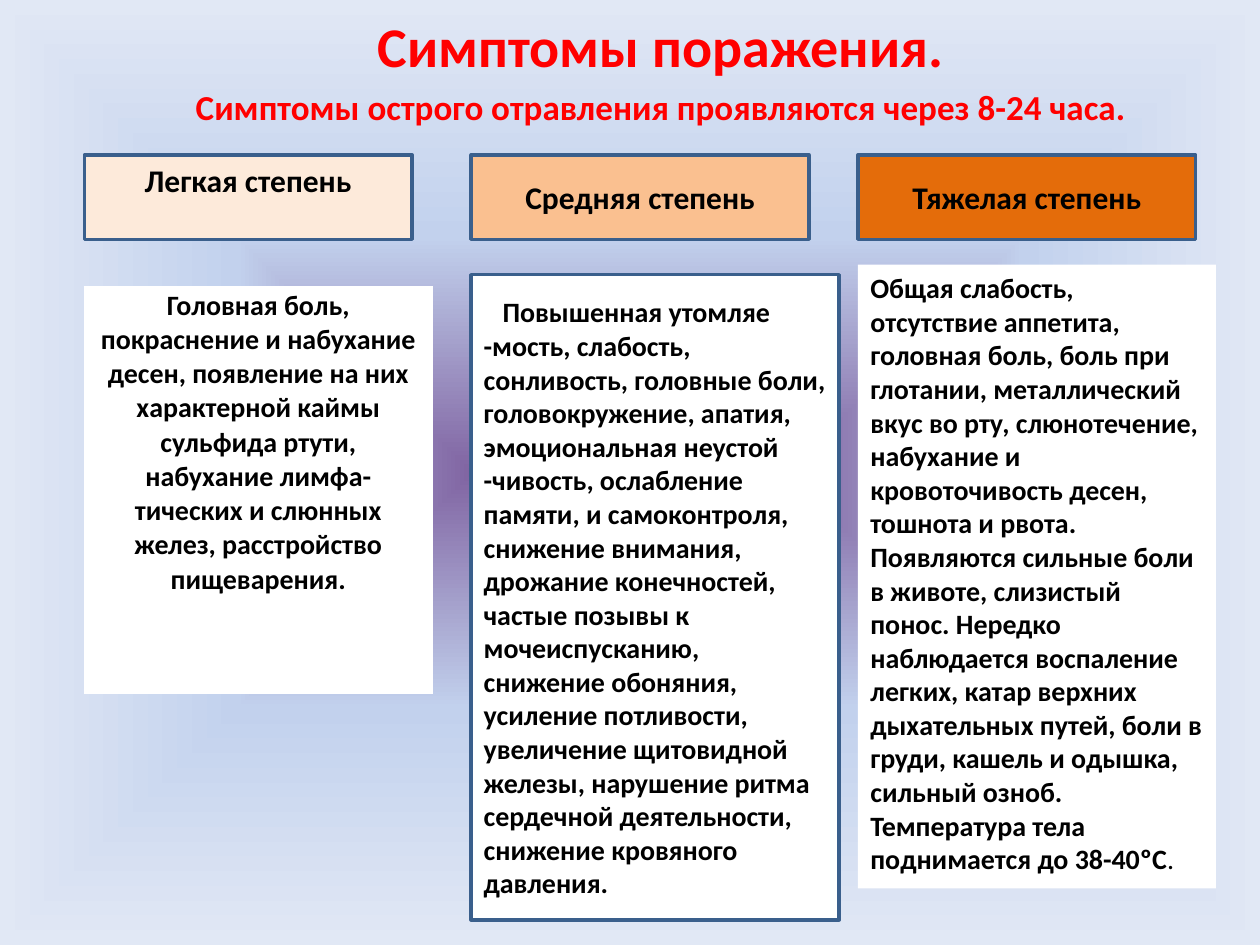
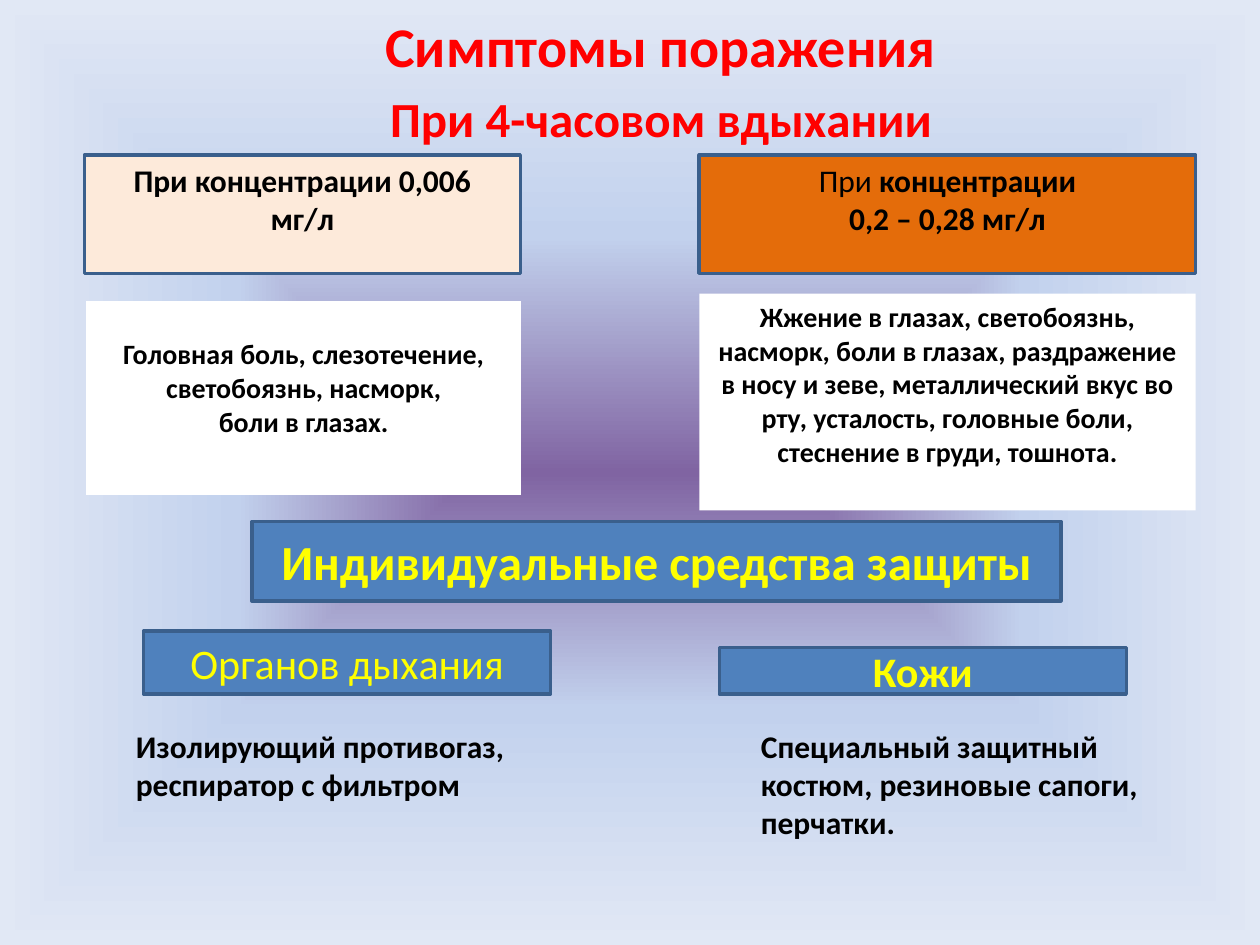
from lxml import etree
from pptx import Presentation
from pptx import util as u
from pptx.dml.color import RGBColor
from pptx.enum import shapes, text
from pptx.oxml import parse_xml
from pptx.oxml.ns import nsdecls, qn

# Shared style
FACE = "Calibri"
RED, BLACK, WHITE, YELLOW = "FF0000", "000000", "FFFFFF", "FFFF00"
PALE, PEACH, ORANGE = "FDEADA", "FAC090", "E46C0A"
BLUE, EDGE = "4F81BD", "3A5F8C"
GLOW = [(0, "8064A2"), (50, "C2D1ED"), (100, "E1E8F5")]
MID, TOP = text.MSO_ANCHOR.MIDDLE, text.MSO_ANCHOR.TOP
LEFT = 0.67
HEAD_TOP = 1.23


def tint(code):
    return RGBColor.from_string(code)


def write(frame, words, size=16, color=BLACK, bold=True, center=True,
          anchor=TOP, indent=0):
    """Newline starts a paragraph, \\v breaks a line, ~ switches bold."""
    frame.word_wrap = True
    frame.auto_size = text.MSO_AUTO_SIZE.NONE
    frame.vertical_anchor = anchor
    for i, line in enumerate(words.split("\n")):
        para = frame.add_paragraph() if i else frame.paragraphs[0]
        para.alignment = text.PP_ALIGN.CENTER if center else text.PP_ALIGN.LEFT
        para.space_before = u.Pt(0)
        props = para._p.get_or_add_pPr()
        props.set("marL", "0")
        props.set("indent", str(u.Inches(indent)))
        etree.SubElement(props, qn("a:buNone"))
        for j, piece in enumerate(line.split("~")):
            for k, part in enumerate(piece.split("\v")):
                if k:
                    para.add_line_break()
                if not part:
                    continue
                run = para.add_run()
                run.text = part
                font = run.font
                font.name, font.size = FACE, u.Pt(size)
                font.bold = bold if j % 2 == 0 else not bold
                font.color.rgb = tint(color)


class Deck:
    def __init__(self):
        self.prs = Presentation()
        self.prs.slide_width = u.Inches(10)
        self.prs.slide_height = u.Inches(7.5)
        self.slide = None
        self.glow()

    def glow(self):
        """Put the radiating background on the master."""
        fill = self.prs.slide_master.background.fill
        fill.gradient()
        stops = "".join(
            f'<a:gs pos="{pos * 1000}"><a:srgbClr val="{code}"/></a:gs>'
            for pos, code in GLOW)
        new = parse_xml(
            f'<a:gradFill {nsdecls("a")} rotWithShape="1">'
            f'<a:gsLst>{stops}</a:gsLst><a:path path="shape">'
            '<a:fillToRect l="50000" t="50000" r="50000" b="50000"/>'
            '</a:path></a:gradFill>')
        old = next(self.prs.slide_master.element.iter(qn("a:gradFill")))
        old.getparent().replace(old, new)

    def page(self, title, sub, size, top):
        self.slide = self.prs.slides.add_slide(self.prs.slide_layouts[1])
        head, body = self.slide.placeholders
        self.place(head, LEFT, 0.04, 9.15, 0.64)
        write(head.text_frame, title, size=32, color=RED)
        self.place(body, LEFT, top, 9.15, 0.5)
        body.text_frame.margin_top = body.text_frame.margin_bottom = 0
        write(body.text_frame, sub, size=size, color=RED)

    def place(self, item, *box):
        item.left, item.top, item.width, item.height = map(u.Inches, box)

    def box(self, words, at, fill=WHITE, line=EDGE, **form):
        rect = self.slide.shapes.add_shape(
            shapes.MSO_SHAPE.RECTANGLE, *map(u.Inches, at))
        rect.shadow.inherit = False
        rect.fill.solid()
        rect.fill.fore_color.rgb = tint(fill)
        if line:
            rect.line.color.rgb = tint(line)
            rect.line.width = u.Pt(2)
        else:
            rect.line.fill.background()
        write(rect.text_frame, words, **form)

    def note(self, words, at, **form):
        area = self.slide.shapes.add_textbox(*map(u.Inches, at))
        write(area.text_frame, words, center=False, **form)

    def table(self, words, at, pad=0):
        grid = self.slide.shapes.add_table(1, 1, *map(u.Inches, at)).table
        grid.first_row = grid.horz_banding = False
        cell = grid.cell(0, 0)
        cell.margin_left = cell.margin_right = u.Inches(0.07)
        cell.margin_top, cell.margin_bottom = u.Inches(pad), 0
        cell.fill.solid()
        cell.fill.fore_color.rgb = tint(WHITE)
        props = cell._tc.get_or_add_tcPr()
        for i, (side, wide) in enumerate(zip("LRTB", (1, 1, 3, 3))):
            props.insert(i, parse_xml(
                f'<a:ln{side} {nsdecls("a")} w="{u.Pt(wide)}"><a:solidFill>'
                f'<a:srgbClr val="{WHITE}"/></a:solidFill></a:ln{side}>'))
        write(cell.text_frame, words)


def degrees(deck):
    deck.page("Симптомы поражения.",
              "Симптомы острого отравления проявляются через 8-24 часа.",
              20, 0.68)
    # Degree headings
    for words, left, wide, fill, anchor in (
            ("Легкая степень", LEFT, 2.6, PALE, TOP),
            ("Средняя степень", 3.74, 2.68, PEACH, MID),
            ("Тяжелая степень", 6.81, 2.68, ORANGE, MID)):
        deck.box(words, (left, HEAD_TOP, wide, 0.67), fill,
                 size=18, anchor=anchor)
    # Symptoms of each degree
    deck.table("Головная боль,\nпокраснение и набухание десен, появление на "
               "них характерной каймы сульфида ртути, набухание лимфа- "
               "тических и слюнных желез, расстройство пищеварения.",
               (LEFT, 2.29, 2.76, 3.2))
    deck.box("Общая слабость, отсутствие аппетита, головная боль, боль при "
             "глотании, металлический вкус во рту, слюнотечение, набухание и "
             "кровоточивость десен, тошнота и рвота. Появляются сильные боли "
             "в животе, слизистый понос. Нередко наблюдается воспаление "
             "легких, катар верхних дыхательных путей, боли в груди, кашель "
             "и одышка, сильный озноб. Температура тела поднимается до "
             "38-40ºС~.", (6.81, 2.1, 2.84, 4.95), line=None, center=False)
    deck.box("Повышенная утомляе\v-мость, слабость, сонливость, головные "
             "боли, головокружение, апатия, эмоциональная неустой -чивость, "
             "ослабление памяти, и самоконтроля, снижение внимания, дрожание "
             "конечностей, частые позывы к\vмочеиспусканию, снижение "
             "обоняния, усиление потливости, увеличение щитовидной железы, "
             "нарушение ритма сердечной деятельности, снижение кровяного "
             "давления.",
             (3.74, 2.18, 2.92, 5.12), center=False, anchor=MID, indent=0.15)


def doses(deck):
    deck.page("Симптомы поражения", "При 4-часовом вдыхании", 28, 0.7)
    # Concentrations
    for words, left, wide, fill in (
            ("При концентрации 0,006\vмг/л", LEFT, 3.46, PALE),
            ("~При ~концентрации\n0,2 – 0,28 мг/л", 5.55, 3.94, ORANGE)):
        deck.box(words, (left, HEAD_TOP, wide, 0.94), fill, size=18)
    # Symptoms
    deck.table("Головная боль, слезотечение, светобоязнь, насморк,\n"
               "боли в глазах.", (0.69, 2.41, 3.44, 1.5), pad=0.27)
    deck.box("Жжение в глазах, светобоязнь, насморк, боли в глазах, "
             "раздражение в носу и зеве, металлический вкус во рту, "
             "усталость, головные боли, стеснение в груди, тошнота.",
             (5.55, 2.33, 3.94, 1.72), line=None)
    # Protective gear
    for words, at, size, bold in (
            ("Индивидуальные средства защиты", (2, 4.14, 6.42, 0.63), 28, True),
            ("Органов дыхания", (1.14, 5.01, 3.23, 0.5), 24, False),
            ("Кожи", (5.71, 5.14, 3.23, 0.37), 24, True)):
        deck.box(words, at, BLUE, size=size, color=YELLOW, bold=bold,
                 anchor=MID)
    deck.note("Изолирующий противогаз, респиратор с фильтром",
              (0.98, 5.72, 3.15, 0.71), size=18)
    deck.note("Специальный защитный костюм, резиновые сапоги, перчатки.",
              (5.94, 5.72, 3.39, 1.01), size=18)


def main():
    deck = Deck()
    degrees(deck)
    doses(deck)
    deck.prs.save("out.pptx")


if __name__ == "__main__":
    main()
